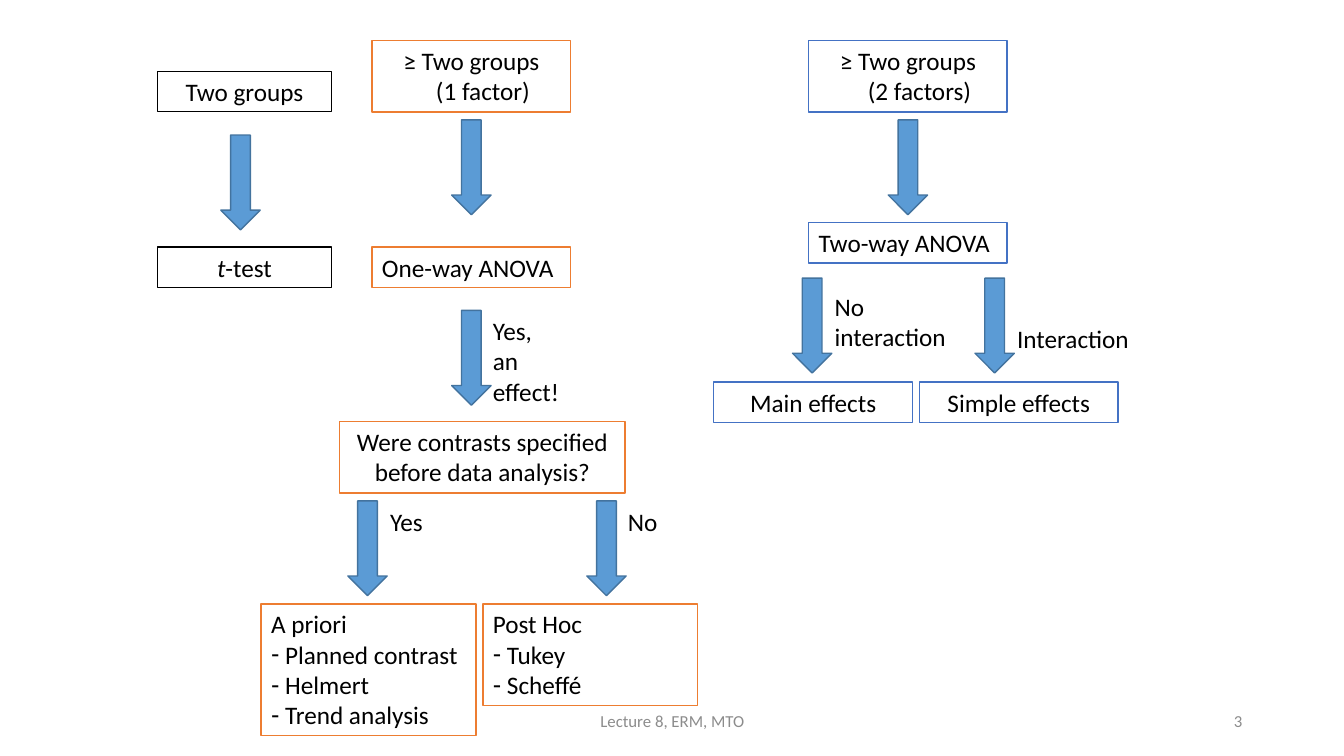
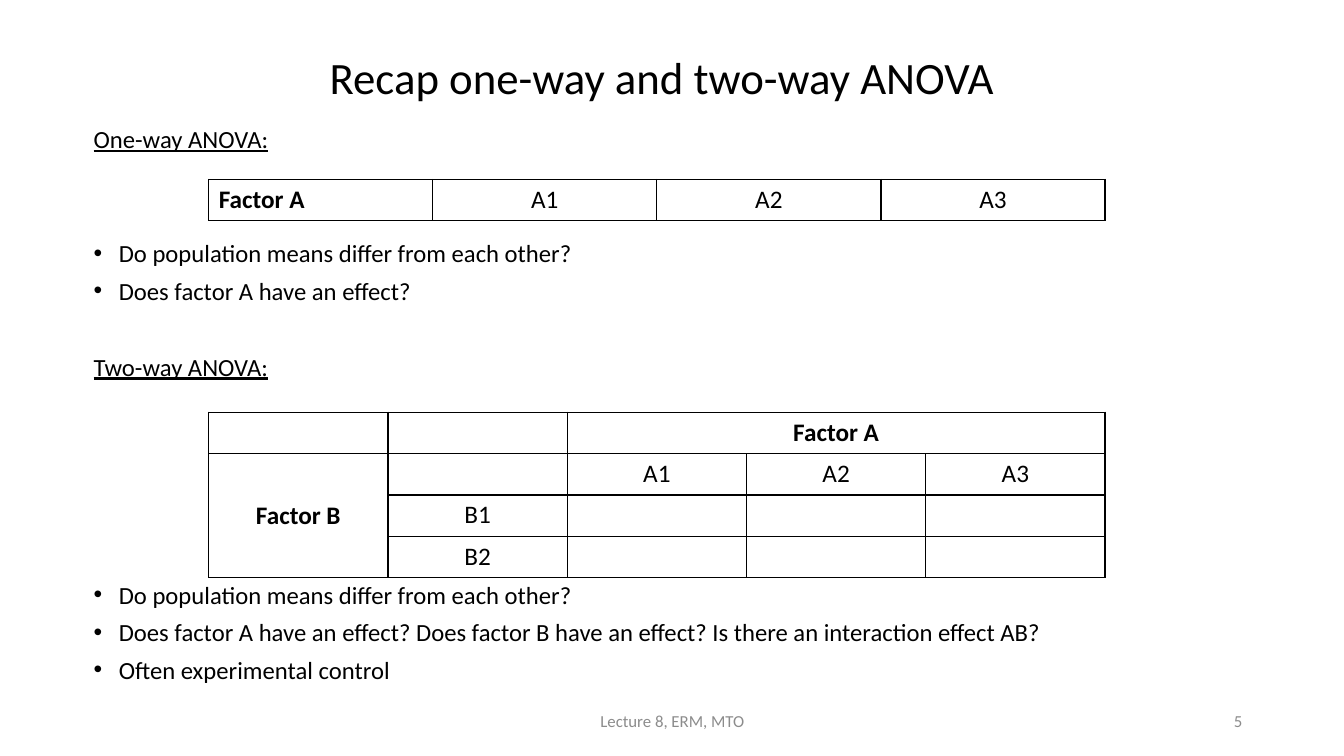
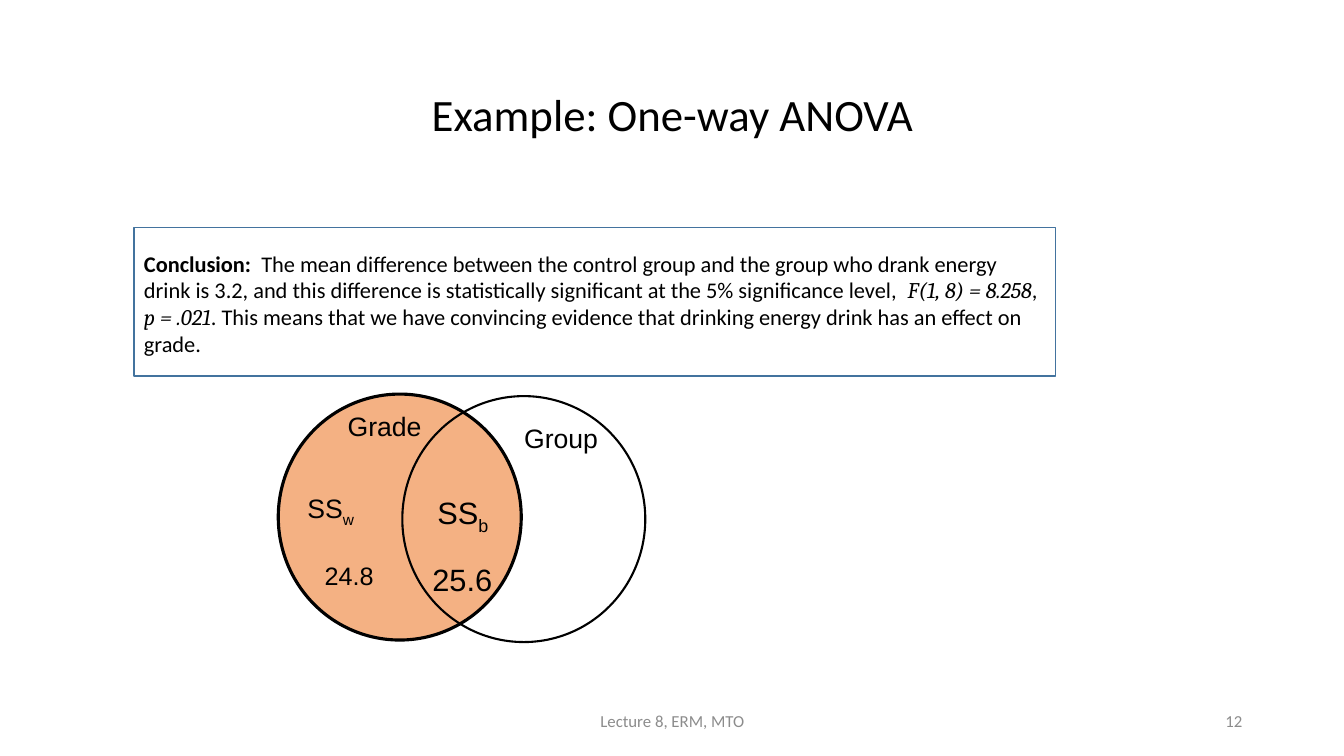
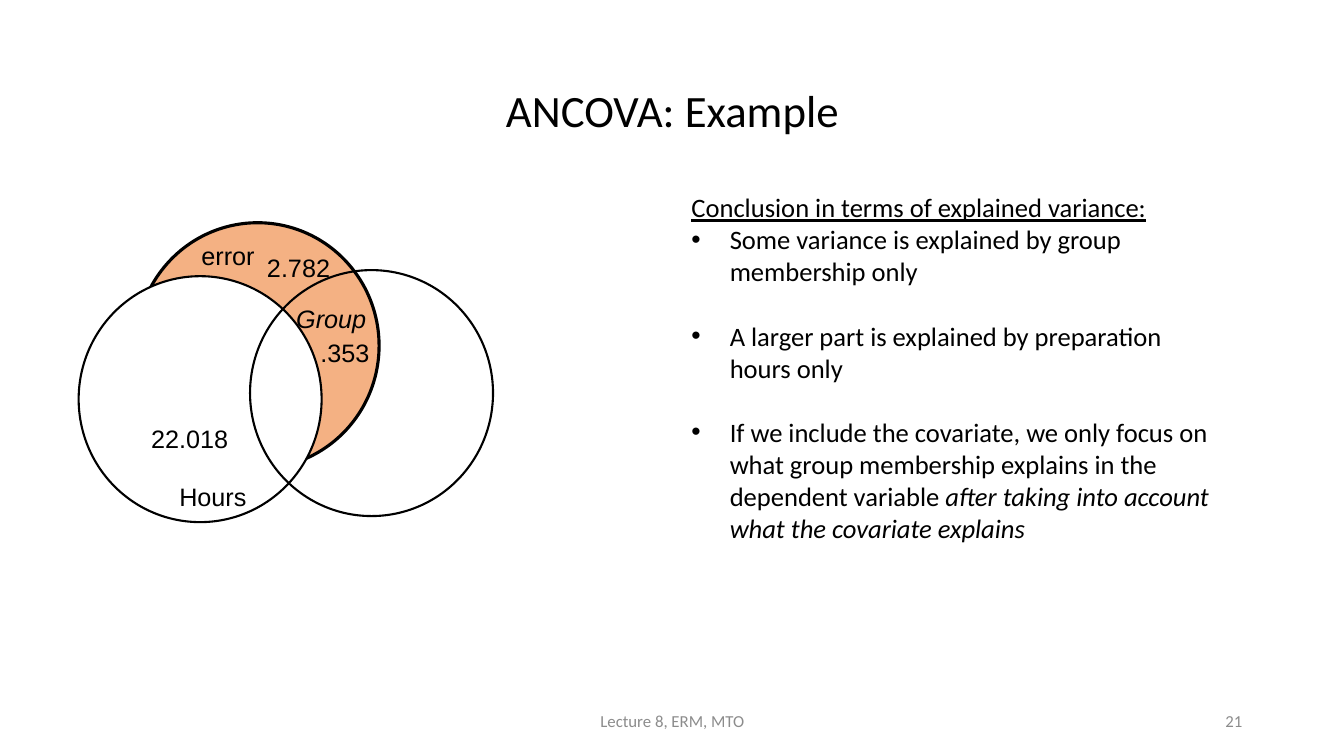
from dataclasses import dataclass, field

from lxml import etree
from pptx import Presentation
from pptx.dml.color import RGBColor
from pptx.enum import shapes, text
from pptx.oxml.ns import qn
from pptx.util import Inches, Pt

COLORS = {
    "ink": "000000", "paper": "FFFFFF", "muted": "8C8C8C",
    "orange": "ED7D31", "blue": "4472C4", "arrow": "5B9BD5",
    "edge": "43739E", "peach": "F4B183",
}
CENTER = text.PP_ALIGN.CENTER
RIGHT = text.PP_ALIGN.RIGHT
MIDDLE = text.MSO_ANCHOR.MIDDLE
TITLE_ONLY, BLANK = 5, 6


def rgb(name):
    return RGBColor.from_string(COLORS[name])


def apply(target, values):
    for key, value in values.items():
        setattr(target, key, value)


@dataclass
class Para:
    runs: list
    bullet: str = ""
    indent: float = 0
    spacing: dict = field(default_factory=dict)
    font: dict = field(default_factory=dict)


class Deck:
    footer_text = "Lecture 8, ERM, MTO"
    margins = {"margin_left": Inches(0.1), "margin_right": Inches(0.1),
               "margin_top": Inches(0.05), "margin_bottom": Inches(0.05)}

    def __init__(self):
        self.file = Presentation()
        apply(self.file, {"slide_width": Inches(13.33), "slide_height": Inches(7.5)})
        self.slide = None

    def add_slide(self, number, title="", box=(0.92, 0.4, 11.5, 1.45), leading=0.9):
        layout = self.file.slide_layouts[TITLE_ONLY if title else BLANK]
        self.slide = self.file.slides.add_slide(layout)
        if title:
            heading = self.slide.shapes.title
            places = map(Inches, box)
            apply(heading, dict(zip(("left", "top", "width", "height"), places)))
            self.fill_text(heading.text_frame, [title], size=32, align=CENTER,
                           anchor=MIDDLE, spacing={"line_spacing": leading})
        small = {"size": 12, "color": "muted", "anchor": MIDDLE}
        self.label((4.42, 6.95, 4.5, 0.4), self.footer_text, align=CENTER, **small)
        self.label((9.42, 6.95, 3, 0.4), str(number), align=RIGHT, **small)

    def fill_text(self, frame, paras, size=18, face="Calibri", color="ink", align=None,
                  anchor=text.MSO_ANCHOR.TOP, spacing=None, **font):
        apply(frame, {"word_wrap": True, "vertical_anchor": anchor,
                      "auto_size": text.MSO_AUTO_SIZE.NONE, **self.margins})
        for index, item in enumerate(paras):
            para = item if isinstance(item, Para) else Para([item])
            line = frame.add_paragraph() if index else frame.paragraphs[0]
            apply(line, {"alignment": align or text.PP_ALIGN.LEFT,
                         **(spacing or {}), **para.spacing})
            self.indent(line, para)
            for part in para.runs:
                words, look = part if isinstance(part, tuple) else (part, {})
                look = {"name": face, "size": Pt(size), **font, **para.font, **look}
                baseline = look.pop("baseline", None)
                run = line.add_run()
                run.text = words
                apply(run.font, look)
                run.font.color.rgb = rgb(color)
                if baseline:
                    run._r.get_or_add_rPr().set("baseline", str(baseline))

    def indent(self, line, para):
        props = line._p.get_or_add_pPr()
        if para.indent:
            props.set("marL", str(Inches(para.indent)))
        if para.bullet:
            props.set("indent", str(-Inches(para.indent)))
            etree.SubElement(props, qn("a:buFont"), typeface="Arial")
            etree.SubElement(props, qn("a:buChar"), char=para.bullet)

    def label(self, box, *paras, **style):
        frame = self.slide.shapes.add_textbox(*map(Inches, box)).text_frame
        self.fill_text(frame, paras, **style)

    def shape(self, kind, box, fill, line, width=1):
        form = self.slide.shapes.add_shape(kind, *map(Inches, box))
        form.shadow.inherit = False
        if fill:
            form.fill.solid()
            form.fill.fore_color.rgb = rgb(fill)
        else:
            form.fill.background()
        form.line.color.rgb = rgb(line)
        form.line.width = Pt(width)
        return form

    def box(self, place, line, *paras, **style):
        form = self.shape(shapes.MSO_SHAPE.RECTANGLE, place, "paper", line)
        self.fill_text(form.text_frame, paras, **style)

    def arrow(self, left, top):
        self.shape(shapes.MSO_SHAPE.DOWN_ARROW, (left, top, 0.39, 0.94), "arrow", "edge")

    def circle(self, left, top, fill=None, width=1.5):
        self.shape(shapes.MSO_SHAPE.OVAL, (left, top, 2.41, 2.44), fill, "ink", width)

    def table(self, left, top, width, rows, merges=(), strong=(), left_aligned=()):
        count = len(rows[0])
        frame = self.slide.shapes.add_table(
            len(rows), count, Inches(left), Inches(top),
            Inches(width), Inches(0.41 * len(rows)))
        grid = frame.table
        apply(grid, {"first_row": False, "horz_banding": False})
        for column in grid.columns:
            column.width = Inches(width / count)
        for r, row in enumerate(rows):
            for c, words in enumerate(row):
                cell = grid.cell(r, c)
                if words:
                    self.fill_cell(cell, words, words in strong, words in left_aligned)
                self.border(cell)
                cell.fill.background()
        for first, last in merges:
            grid.cell(*first).merge(grid.cell(*last))
            grid.cell(*first).vertical_anchor = MIDDLE

    def fill_cell(self, cell, words, bold, flush):
        line = cell.text_frame.paragraphs[0]
        line.alignment = text.PP_ALIGN.LEFT if flush else CENTER
        run = line.add_run()
        run.text = words
        apply(run.font, {"name": "Calibri", "size": Pt(18), "bold": bold})
        run.font.color.rgb = rgb("ink")

    def border(self, cell):
        props = cell._tc.get_or_add_tcPr()
        for side in ("a:lnL", "a:lnR", "a:lnT", "a:lnB"):
            edge = etree.SubElement(props, qn(side), w=str(Pt(1)))
            paint = etree.SubElement(edge, qn("a:solidFill"))
            etree.SubElement(paint, qn("a:srgbClr"), val=COLORS["ink"])


def dashes(*items):
    return [Para([item], "-", 0.14) for item in items]


def decision_tree(deck):
    deck.add_slide(3)
    deck.box((1.56, 0.71, 1.73, 0.4), "ink", "Two groups", align=CENTER)
    deck.box((1.56, 2.45, 1.73, 0.4), "ink",
             Para([("t", {"italic": True}), "-test"]), align=CENTER)
    for left, color, factors in ((3.69, "orange", "(1 factor)"),
                                 (8.02, "blue", "(2 factors)")):
        deck.box((left, 0.4, 1.97, 0.71), color, "≥ Two groups",
                 Para([factors], indent=0.23), align=CENTER)
    deck.box((3.69, 2.45, 1.97, 0.4), "orange", "One-way ANOVA")
    deck.box((8.02, 2.21, 1.97, 0.4), "blue", "Two-way ANOVA")
    deck.box((3.37, 4.18, 2.83, 0.71), "orange",
             "Were contrasts specified before data analysis?", align=CENTER)
    deck.box((2.59, 5.99, 2.13, 1.31), "orange", "A priori",
             *dashes("Planned contrast", "Helmert", "Trend analysis"))
    deck.box((4.79, 5.99, 2.13, 1.01), "orange", "Post Hoc", *dashes("Tukey", "Scheffé"))
    for left, effects in ((7.08, "Main effects"), (9.12, "Simple effects")):
        deck.box((left, 3.79, 1.97, 0.4), "blue", effects, align=CENTER)
    for place in ((2.19, 1.34), (4.48, 1.19), (4.48, 3.08), (3.45, 4.97),
                  (5.82, 4.97), (8.81, 1.19), (7.86, 2.76), (9.67, 2.76)):
        deck.arrow(*place)
    deck.label((4.79, 3.08, 0.87, 1.01), "Yes, an effect!")
    deck.label((3.77, 4.97, 0.87, 0.4), "Yes")
    deck.label((6.13, 4.97, 0.87, 0.4), "No")
    deck.label((8.18, 2.84, 1.36, 0.71), "No", "interaction")
    deck.label((9.99, 3.16, 1.36, 0.4), "Interaction")


def recap(deck):
    deck.add_slide(5, "Recap one-way and two-way ANOVA", (0.71, 0.38, 11.71, 0.83))

    def heading(words, skipped=0):
        return Para([words], spacing=gap(skipped), font={"underline": True})

    def point(words, skipped=0):
        return Para([words], "•", 0.25, gap(skipped))

    def gap(skipped):
        return {"space_before": Pt(10 + 27.2 * skipped)}

    deck.label((0.83, 1.24, 11.37, 5.71),
               heading("One-way ANOVA:"),
               point("Do population means differ from each other?", 2),
               point("Does factor A have an effect?"),
               heading("Two-way ANOVA:", 1),
               point("Do population means differ from each other?", 5),
               point("Does factor A have an effect? Does factor B have an effect? "
                     "Is there an interaction effect AB?"),
               point("Often experimental control"),
               size=17.6, spacing={"line_spacing": 0.8})
    levels = ["A1", "A2", "A3"]
    deck.table(2.07, 1.78, 8.89, [["Factor A", *levels]],
               strong=["Factor A"], left_aligned=["Factor A"])
    deck.table(2.07, 4.09, 8.89,
               [["", "", "Factor A", "", ""],
                ["Factor B", "", *levels],
                ["", "B1", "", "", ""],
                ["", "B2", "", "", ""]],
               merges=[((0, 2), (0, 4)), ((1, 0), (3, 0))],
               strong=["Factor A", "Factor B"])


def one_way_example(deck):
    deck.add_slide(12, "Example: One-way ANOVA", leading=1.0)
    deck.shape(shapes.MSO_SHAPE.RECTANGLE, (1.33, 2.26, 9.14, 1.47), None, "edge")
    statistic = {"name": "Cambria", "italic": True}
    deck.label((1.33, 2.42, 9.14, 1.18), Para([
        ("Conclusion:  ", {"bold": True}),
        "The mean difference between the control group and the group who drank energy "
        "drink is 3.2, and this difference is statistically significant at the 5% "
        "significance level,  ",
        ("F(1, 8) = 8.258", statistic), ", ", ("p = .021", statistic),
        ". This means that we have convincing evidence that drinking energy drink "
        "has an effect on grade."]), size=16, anchor=MIDDLE)
    deck.circle(2.76, 3.91, "peach", 2.25)
    deck.circle(3.99, 3.93)
    for left, top, size, words in (
            (4.19, 5.51, 22, ["25.6"]),
            (3.12, 5.51, 18, ["24.8"]),
            (2.95, 4.83, 19, ["SS", ("w", {"baseline": -25000})]),
            (5.1, 4.14, 19, ["Group"]),
            (4.24, 4.85, 22, ["SS", ("b", {"baseline": -25000})]),
            (3.35, 4.02, 19, ["Grade"])):
        deck.label((left, top, 1.08, 0.47), Para(words), size=size, face="Arial")


def ancova_example(deck):
    deck.add_slide(21, "ANCOVA: Example")
    deck.circle(1.35, 2.21, "peach", 2.25)
    deck.circle(0.78, 2.74, "paper")
    deck.circle(2.48, 2.68)
    for left, top, words, italic in (
            (2.55, 2.43, "2.782", False), (1.9, 2.31, "error", False),
            (2.84, 2.94, "Group", True), (3.08, 3.28, ".353", False),
            (1.68, 4.71, "Hours", False), (1.4, 4.13, "22.018", False)):
        deck.label((left, top, 1, 0.4), words, face="Arial", italic=italic,
                   spacing={"line_spacing": 1.07, "space_after": Pt(8)})

    def point(*runs, before=23.2):
        return Para(list(runs), "•", 0.38, {"space_before": Pt(before)})

    deck.label((6.76, 1.85, 5.5, 5.54),
               Para(["Conclusion in terms of explained variance:"],
                    font={"underline": True}),
               point("Some variance is explained by group membership only", before=0),
               point("A larger part is explained by preparation hours only"),
               point("If we include the covariate, we only focus on what group "
                     "membership explains in the dependent variable ",
                     ("after taking into account what the covariate explains",
                      {"italic": True})),
               size=19)


def main():
    deck = Deck()
    for build in (decision_tree, recap, one_way_example, ancova_example):
        build(deck)
    deck.file.save("out.pptx")


if __name__ == "__main__":
    main()
